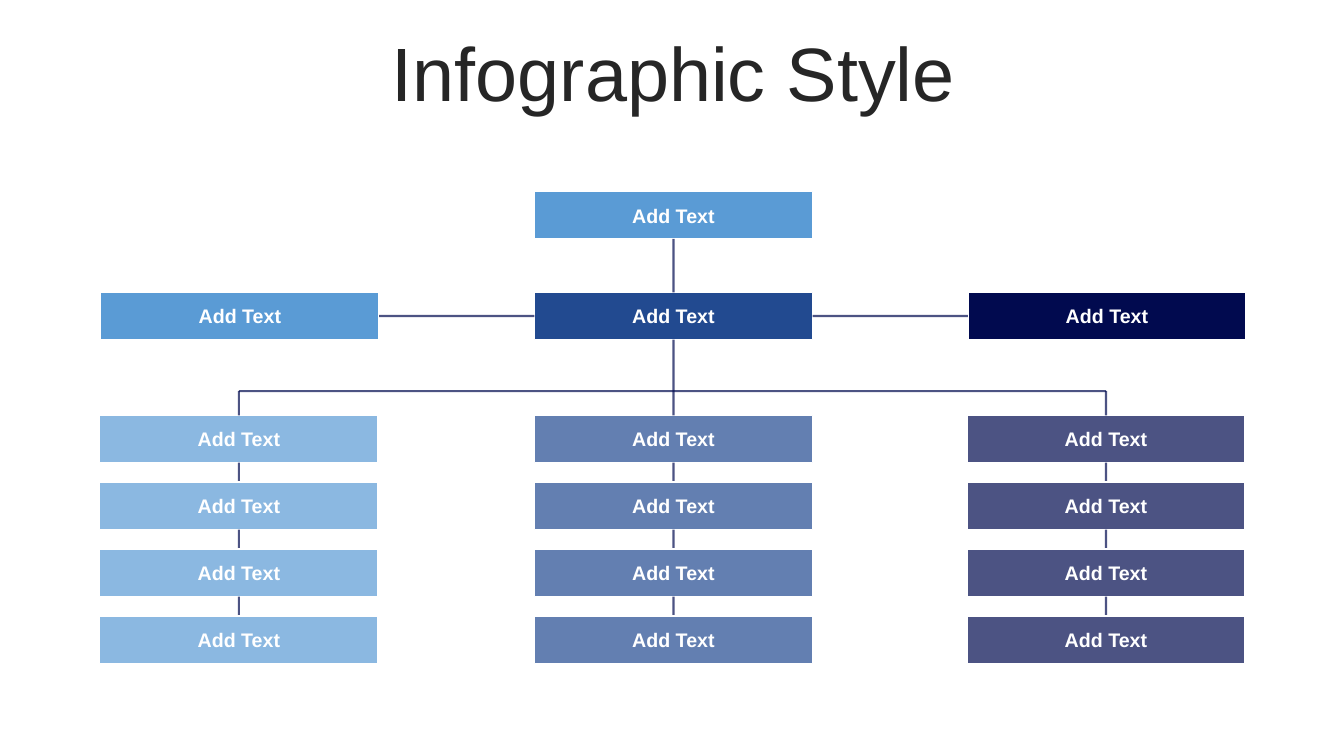
from lxml import etree
from pptx import Presentation
from pptx.dml.color import RGBColor
from pptx.enum.shapes import MSO_CONNECTOR, MSO_SHAPE
from pptx.enum.text import MSO_ANCHOR, PP_ALIGN
from pptx.oxml.ns import qn
from pptx.util import Inches, Pt

SKY = RGBColor(0x5A, 0x9B, 0xD5)
BLUE = RGBColor(0x22, 0x4A, 0x90)
NAVY = RGBColor(0x01, 0x0A, 0x4F)
WHITE = RGBColor(0xFF, 0xFF, 0xFF)
DARK = RGBColor(0x26, 0x26, 0x26)

BOX_W, BOX_H = 2.76, 0.47
MID_X = 6.68
TOP_Y, HEAD_Y, BUS_Y, STACK_Y = 1.9, 2.9, 3.88, 4.12
STEP = 0.664
ROWS = 4
# Left edge of the head box, left edge of the stack below it, colour
COLUMNS = [(1, 0.99, SKY), (5.3, 5.3, BLUE), (9.6, 9.59, NAVY)]


def fade(holder):
    """Make the solid colour inside an XML element 70% opaque."""
    color = next(holder.iter(qn("a:srgbClr")))
    etree.SubElement(color, qn("a:alpha"), val="70000")


def write(frame, text, size, color, bold=False):
    frame.word_wrap = True
    frame.vertical_anchor = MSO_ANCHOR.MIDDLE
    para = frame.paragraphs[0]
    para.text = text
    para.alignment = PP_ALIGN.CENTER
    font = para.font
    font.name, font.size, font.bold = "Arial", Pt(size), bold
    font.color.rgb = color
    return para


def add_title(slide, text):
    box = slide.shapes.add_textbox(
        Inches(0.35), Inches(0.37), Inches(12.66), Inches(0.79))
    write(box.text_frame, text, 54, DARK).line_spacing = 0.9


def add_box(slide, x, y, color, faded=False):
    box = slide.shapes.add_shape(
        MSO_SHAPE.RECTANGLE, Inches(x), Inches(y), Inches(BOX_W), Inches(BOX_H))
    box.shadow.inherit = False
    box.fill.solid()
    box.fill.fore_color.rgb = color
    if faded:
        fade(box._element.spPr.find(qn("a:solidFill")))
    box.line.color.rgb = WHITE
    box.line.width = Pt(1)
    write(box.text_frame, "Add Text", 14, WHITE, bold=True)


def add_line(slide, x1, y1, x2, y2):
    line = slide.shapes.add_connector(
        MSO_CONNECTOR.STRAIGHT, Inches(x1), Inches(y1), Inches(x2), Inches(y2))
    line.line.color.rgb = NAVY
    line.line.width = Pt(1.5)
    props = line._element.spPr
    fade(props.find(qn("a:ln")))
    etree.SubElement(props, qn("a:effectLst"))


def add_stack(slide, x, color):
    """Draw a column of faded boxes joined by short lines."""
    mid = x + BOX_W / 2
    for row in range(ROWS):
        y = STACK_Y + row * STEP
        add_box(slide, x, y, color, faded=True)
        if row < ROWS - 1:
            add_line(slide, mid, y + BOX_H, mid, y + STEP)


def add_links(slide):
    """Join the head boxes and lead down to the stacks."""
    add_line(slide, MID_X, TOP_Y + BOX_H, MID_X, HEAD_Y)
    add_line(slide, MID_X, HEAD_Y + BOX_H, MID_X, STACK_Y)
    side_y = HEAD_Y + BOX_H / 2
    heads = [head for head, _, _ in COLUMNS]
    for left, right in zip(heads, heads[1:]):
        add_line(slide, left + BOX_W, side_y, right, side_y)
    ends = [COLUMNS[i][1] + BOX_W / 2 for i in (0, -1)]
    add_line(slide, ends[0], BUS_Y, ends[1], BUS_Y)
    for x in ends:
        add_line(slide, x, BUS_Y, x, STACK_Y)


def main():
    deck = Presentation()
    deck.slide_width, deck.slide_height = Inches(13.33), Inches(7.5)
    slide = deck.slides.add_slide(deck.slide_layouts[6])
    add_title(slide, "Infographic Style")
    add_box(slide, COLUMNS[1][0], TOP_Y, SKY)
    for head, stack, color in COLUMNS:
        add_box(slide, head, HEAD_Y, color)
        add_stack(slide, stack, color)
    add_links(slide)
    deck.save("out.pptx")


if __name__ == "__main__":
    main()
